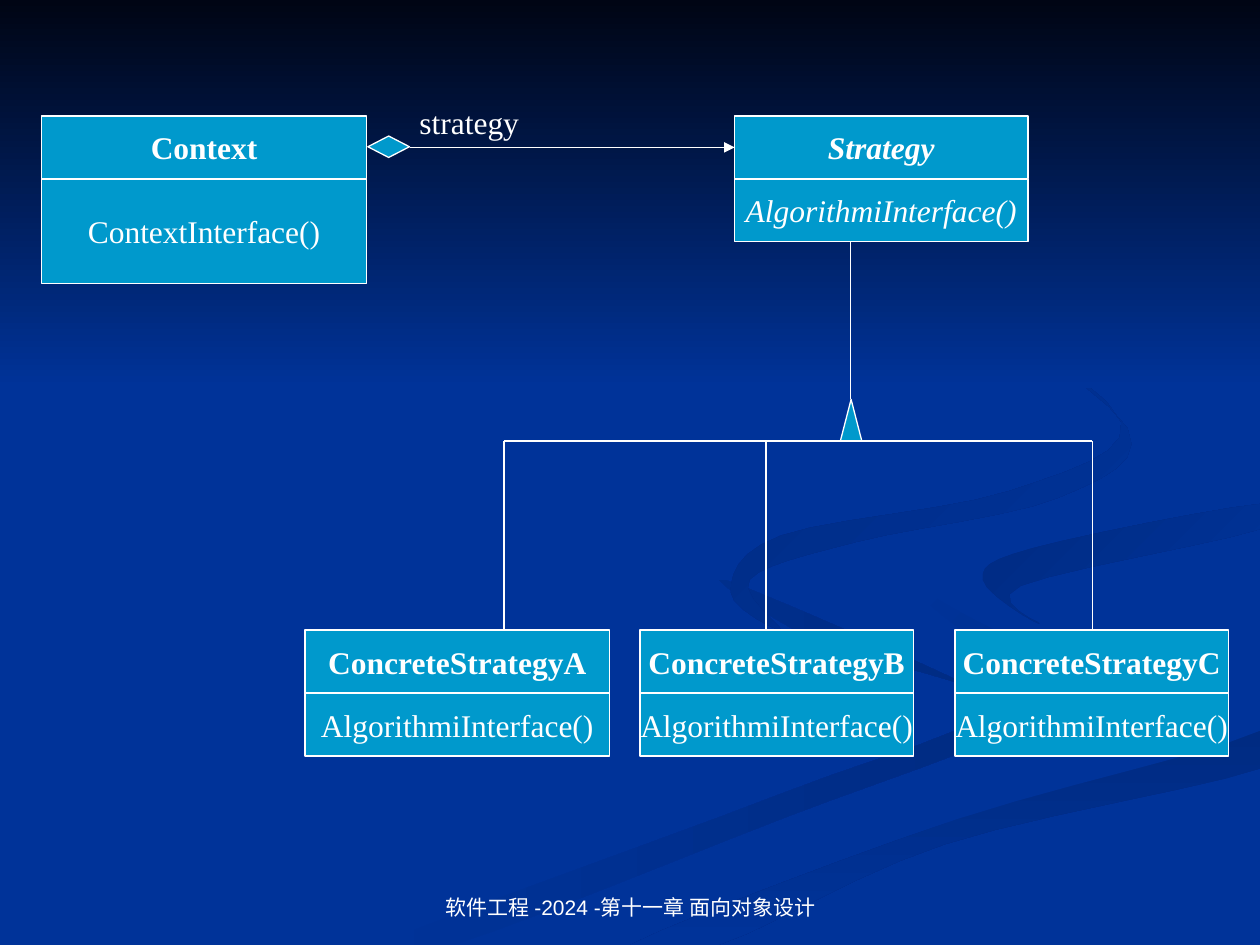
from dataclasses import dataclass

import pptx
import pptx.dml.color
import pptx.enum.shapes
import pptx.enum.text
import pptx.oxml
import pptx.oxml.ns
import pptx.util

Inches = pptx.util.Inches
Shape = pptx.enum.shapes.MSO_SHAPE
Align = pptx.enum.text.PP_ALIGN
Anchor = pptx.enum.text.MSO_ANCHOR


@dataclass(frozen=True)
class Theme:
    back: str = "003399"
    night: str = "000514"
    dusk: str = "002B82"
    fill: str = "0099CC"
    ink: str = "FFFFFF"
    serif: str = "Times New Roman"
    sans: str = "Arial"
    body: int = 18
    foot: int = 12
    rule: float = 0.75


THEME = Theme()
FADE_IN = (THEME.back, THEME.dusk)
FADE_OUT = (THEME.dusk, THEME.back)
PLAIN = (THEME.back, THEME.back)

# Guide points, gradient colours and clockwise angle of each ribbon
RIBBONS = [
    ([(7.8, 5.5), (5.75, 4.6), (6.5, 5.1), (7.85, 5.6), (6.2, 6.3),
      (3, 7.5), (3.6, 7.5), (6.2, 6.5), (8, 5.8)], FADE_IN, 0),
    ([(9.4, 5.65), (8.5, 5.25), (7.25, 4.65), (8, 5.25), (9.15, 5.75),
      (8.95, 6.05)], FADE_IN, 45),
    ([(5, 7.5), (5.7, 7.5), (7.5, 6.7), (10, 6.1), (10, 5.8), (7.6, 6.5)],
     FADE_OUT, 90),
    ([(7.25, 4.6), (8.3, 5.2), (9.4, 5.7), (7.8, 6.35), (4.8, 7.5),
      (7.6, 6.5), (10, 5.8), (10, 5.4), (7.8, 4.6), (10, 4), (10, 3.9),
      (7.7, 4.3)], PLAIN, 0),
    ([(7.8, 4.6), (8.25, 4.95), (8.1, 4.65), (10, 4.2), (10, 4), (8.2, 4.35)],
     FADE_OUT, 45),
    ([(6.8, 4.3), (8.4, 3.95), (8.95, 3.4), (7.6, 2.35), (8.9, 3.35),
      (8, 3.9), (6.2, 4.25), (5.8, 4.7), (6.2, 5), (5.95, 4.6)],
     FADE_OUT, 45),
]


def rgb(code):
    return pptx.dml.color.RGBColor.from_string(code)


def smooth(points, steps=6):
    """Trace a closed Catmull-Rom curve through the guide points."""
    count = len(points)
    trace = []
    for i in range(count):
        near = [points[(i + k) % count] for k in (-1, 0, 1, 2)]
        for step in range(steps):
            t = step / steps
            trace.append(tuple(
                b + t / 2 * (c - a + t * (2 * a - 5 * b + 4 * c - d
                                          + t * (3 * (b - c) + d - a)))
                for a, b, c, d in zip(*near)))
    return trace


def blend(shape, colors, angle):
    """Fill with a two-stop gradient; the angle runs clockwise."""
    shape.shadow.inherit = False
    shape.line.fill.background()
    shape.fill.gradient()
    shape.fill.gradient_angle = (360 - angle) % 360
    for stop, color in zip(shape.fill.gradient_stops, colors):
        stop.color.rgb = rgb(color)


def write(shape, text, *, size=THEME.body, font=THEME.serif, bold=False,
          italic=False, align=Align.CENTER, anchor=Anchor.MIDDLE, wrap=False):
    frame = shape.text_frame
    frame.word_wrap = wrap
    frame.vertical_anchor = anchor
    para = frame.paragraphs[0]
    para.alignment = align
    run = para.add_run()
    run.text = text
    run.font.size = pptx.util.Pt(size)
    run.font.name = font
    run.font.bold = bold
    run.font.italic = italic
    run.font.color.rgb = rgb(THEME.ink)


def label(slide, box, text, **style):
    write(slide.shapes.add_textbox(*map(Inches, box)), text, **style)


def block(slide, kind, box):
    shape = slide.shapes.add_shape(kind, *map(Inches, box))
    shape.shadow.inherit = False
    shape.fill.solid()
    shape.fill.fore_color.rgb = rgb(THEME.fill)
    shape.line.color.rgb = rgb(THEME.ink)
    shape.line.width = pptx.util.Pt(THEME.rule)
    return shape


def link(slide, start, end, arrow=False):
    line = slide.shapes.add_connector(
        pptx.enum.shapes.MSO_CONNECTOR.STRAIGHT, *map(Inches, start + end))
    line.line.color.rgb = rgb(THEME.ink)
    line.line.width = pptx.util.Pt(THEME.rule)
    props = line.element.spPr
    props.append(pptx.oxml.parse_xml(
        f"<a:effectLst {pptx.oxml.ns.nsdecls('a')}/>"))
    if arrow:
        props.find(pptx.oxml.ns.qn("a:ln")).append(pptx.oxml.parse_xml(
            f"<a:tailEnd {pptx.oxml.ns.nsdecls('a')} type='triangle'/>"))


def backdrop(slide, box):
    left, top, width, height = box
    slide.background.fill.solid()
    slide.background.fill.fore_color.rgb = rgb(THEME.back)
    for points, colors, angle in RIBBONS:
        spots = [(Inches(min(left + x, left + width)),
                  Inches(min(top + y, top + height)))
                 for x, y in smooth(points)]
        curve = slide.shapes.build_freeform(*spots[0])
        curve.add_line_segments(spots[1:])
        blend(curve.convert_to_shape(), colors, angle)
    sky = slide.shapes.add_shape(
        Shape.RECTANGLE, *map(Inches, (left, top, width, 3.08)))
    blend(sky, (THEME.night, THEME.back), 90)


def card(slide, box, name, method, italic=False):
    """A UML class: a name row of fixed height over a method row."""
    left, top, width, height = box
    head = 0.5
    write(block(slide, Shape.RECTANGLE, (left, top, width, head)), name,
          bold=True, italic=italic)
    write(block(slide, Shape.RECTANGLE,
                (left, top + head, width, height - head)), method,
          italic=italic)


def owner(slide, box):
    """The context, the strategy it holds and the link between them."""
    left, top, width, height = box
    right = left + width - 2.33
    card(slide, (left, top, 2.58, height), "Context", "ContextInterface()")
    card(slide, (right, top, 2.33, 1), "Strategy",
         "AlgorithmiInterface()", italic=True)
    axis = top + 0.25
    block(slide, Shape.DIAMOND, (left + 2.59, axis - 0.09, 0.33, 0.17))
    link(slide, (left + 2.92, axis), (right, axis), arrow=True)
    label(slide, (left + 2.9, top - 0.15, 0.99, 0.4), "strategy",
          align=Align.LEFT, anchor=Anchor.TOP)


def heirs(slide, box):
    """The inheritance tree and its three concrete classes."""
    left, top, width, height = box
    stem, rail, row = left + 4.33, top + 1.58, top + height - 1
    link(slide, (stem, top), (stem, rail - 0.33))
    block(slide, Shape.ISOSCELES_TRIANGLE,
          (stem - 0.08, rail - 0.33, 0.17, 0.33))
    link(slide, (left + 1.58, rail), (left + 6.25, rail))
    for letter, start, wide, drop in (("A", 0, 2.42, 1.58),
                                      ("B", 2.66, 2.17, 3.66),
                                      ("C", 5.16, 2.17, 6.25)):
        card(slide, (left + start, row, wide, 1),
             f"ConcreteStrategy{letter}", "AlgorithmiInterface()")
        link(slide, (left + drop, rail), (left + drop, row))


def main():
    deck = pptx.Presentation()
    deck.slide_width, deck.slide_height = Inches(10), Inches(7.5)
    slide = deck.slides.add_slide(deck.slide_layouts[6])
    backdrop(slide, (0, 0, 10, 7.5))
    label(slide, (3.42, 6.83, 3.17, 0.52),
          "软件工程 -2024 -第十一章 面向对象设计", size=THEME.foot,
          font=THEME.sans, anchor=Anchor.BOTTOM, wrap=True)
    owner(slide, (0.33, 0.92, 7.83, 1.33))
    heirs(slide, (2.42, 1.92, 7.33, 4.08))
    deck.save("out.pptx")


if __name__ == "__main__":
    main()
